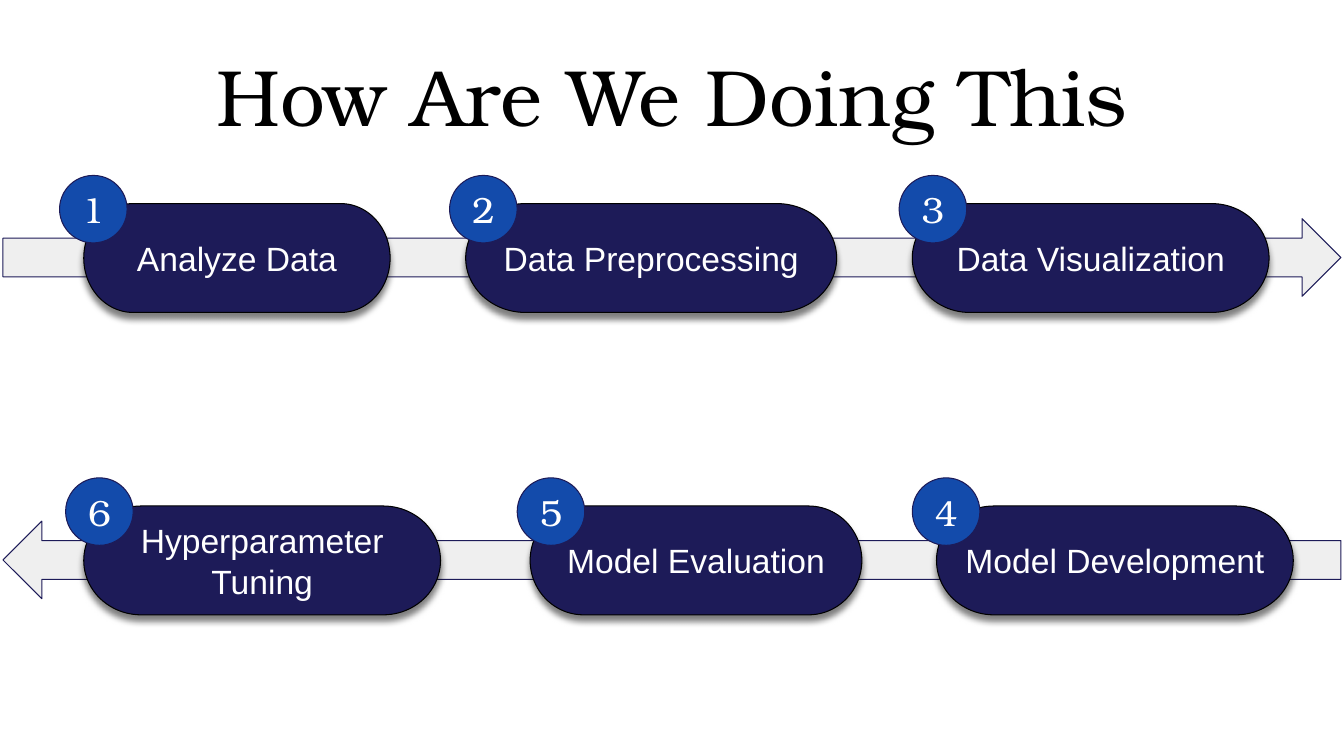
from dataclasses import dataclass

from lxml import etree
from pptx import Presentation
from pptx import util as u
from pptx.dml.color import RGBColor
from pptx.enum import shapes, text
from pptx.oxml import ns

WIDE, HIGH = u.Inches(13.333), u.Inches(7.5)
COL, ROW = WIDE / 100, HIGH / 100  # grid of 100 columns by 100 rows
LANE = 40  # rows from the first lane to the second
NAVY, BLUE, GREY, BLACK, WHITE = "1D1B58", "134BAB", "EFEFEF", "000000", "FFFFFF"
SANS, SERIF = "Arial", "TeX Gyre Bonum"
KIND = shapes.MSO_SHAPE


@dataclass
class Box:
    """A place on the grid, in columns and rows."""
    left: float
    top: float
    width: float
    height: float

    def place(self) -> tuple:
        return (u.Emu(round(self.left * COL)), u.Emu(round(self.top * ROW)),
                u.Emu(round(self.width * COL)), u.Emu(round(self.height * ROW)))


@dataclass
class Step:
    label: str
    lane: int
    badge: float
    left: float
    width: float


STEPS = [
    Step("Analyze Data", 0, 4.43, 6.23, 22.8),
    Step("Data Preprocessing", 0, 33.45, 34.65, 27.6),
    Step("Data Visualization", 0, 66.9, 67.88, 26.55),
    Step("Model Development", 1, 67.88, 69.68, 26.55),
    Step("Model Evaluation", 1, 38.48, 39.45, 24.68),
    Step("Hyperparameter Tuning", 1, 4.88, 6.23, 26.55),
]


def tint(code: str) -> RGBColor:
    return RGBColor.from_string(code)


def draw(slide, kind, box: Box, fill: str, line: str):
    shape = slide.shapes.add_shape(kind, *box.place())
    shape.shadow.inherit = False
    shape.fill.solid()
    shape.fill.fore_color.rgb = tint(fill)
    shape.line.color.rgb = tint(line)
    shape.line.width = u.Pt(0.75)
    return shape


def write(shape, words: str, face: str, size: float, ink: str, inset: float = 0.1):
    """Put one centred run of text in the shape."""
    frame = shape.text_frame
    frame.word_wrap = True
    frame.vertical_anchor = text.MSO_ANCHOR.MIDDLE
    frame.margin_left = frame.margin_right = u.Inches(inset)
    frame.margin_top = frame.margin_bottom = u.Inches(inset)
    para = frame.paragraphs[0]
    para.alignment = text.PP_ALIGN.CENTER
    run = para.add_run()
    run.text = words
    run.font.name = face
    run.font.size = u.Pt(size)
    run.font.color.rgb = tint(ink)
    return para


def shade(shape) -> None:
    """Cast a soft half-black shadow straight down."""
    effects = shape._element.spPr.find(ns.qn("a:effectLst"))
    cast = etree.SubElement(effects, ns.qn("a:outerShdw"), blurRad=str(u.Pt(4.5)),
                            dist=str(u.Pt(4.5)), dir="5400000",
                            algn="bl", rotWithShape="0")
    color = etree.SubElement(cast, ns.qn("a:srgbClr"), val=BLACK)
    etree.SubElement(color, ns.qn("a:alpha"), val="50000")


def add_step(slide, number: int, step: Step) -> None:
    drop = step.lane * LANE
    pill = draw(slide, KIND.FLOWCHART_TERMINATOR,
                Box(step.left, 26.93 + drop, step.width, 14.4), NAVY, BLACK)
    shade(pill)
    write(pill, step.label, SANS, 24, WHITE)
    badge = draw(slide, KIND.OVAL,
                 Box(step.badge, 23.2 + drop, 5.03, 8.93), BLUE, NAVY)
    write(badge, str(number), SERIF, 26, WHITE)


def main() -> None:
    deck = Presentation()
    deck.slide_width, deck.slide_height = WIDE, HIGH
    slide = deck.slides.add_slide(deck.slide_layouts[6])
    for lane, turn in enumerate((0, 180)):
        arrow = draw(slide, KIND.RIGHT_ARROW,
                     Box(0.22, 28.93 + lane * LANE, 99.55, 10.27), GREY, NAVY)
        arrow.rotation = turn
    title = slide.shapes.add_textbox(*Box(5.55, 8.8, 88.88, 8.93).place())
    para = write(title, "How Are We Doing This", SERIF, 57, BLACK, 0)
    para.line_spacing = 0.9
    for number, step in enumerate(STEPS, 1):
        add_step(slide, number, step)
    deck.save("out.pptx")


if __name__ == "__main__":
    main()
